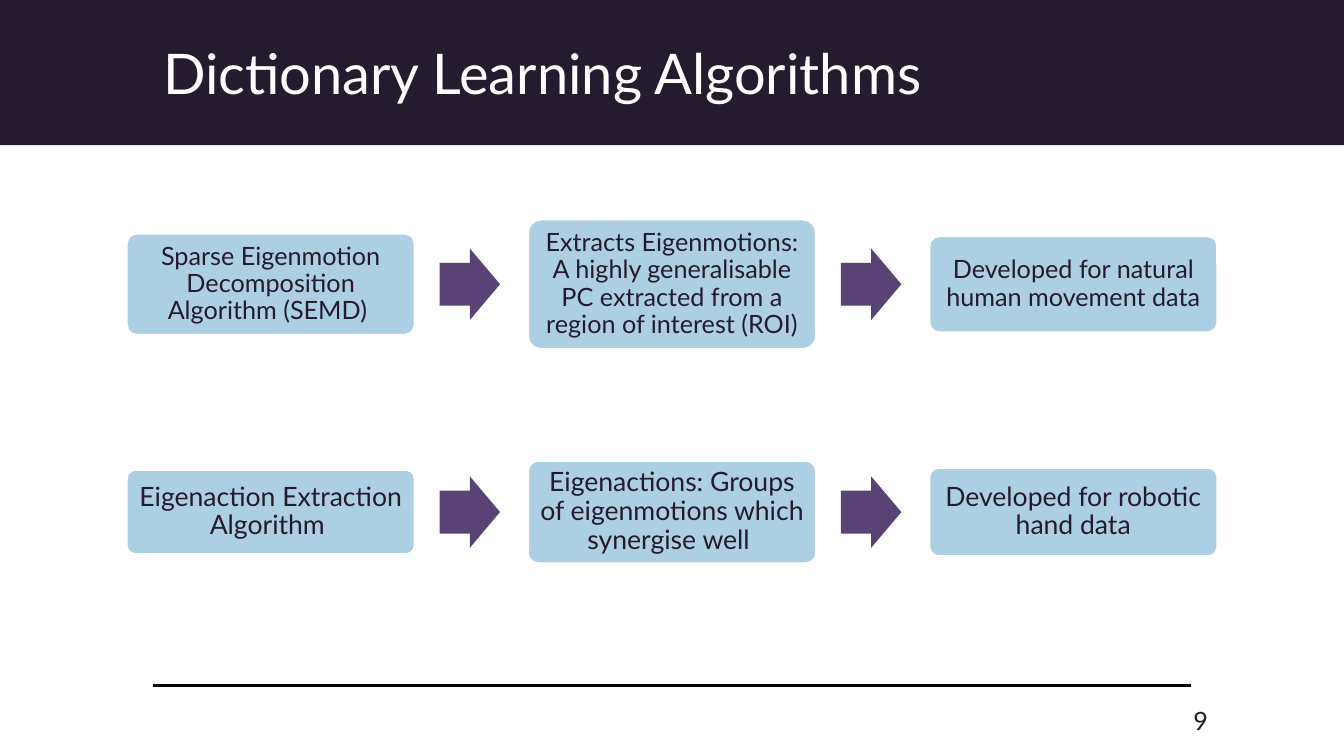
from dataclasses import dataclass

from lxml.etree import SubElement
from pptx import Presentation
from pptx.dml.color import RGBColor
from pptx.enum.shapes import MSO_CONNECTOR as Connector, MSO_SHAPE as Shape
from pptx.enum.text import MSO_ANCHOR as Anchor, PP_ALIGN as Align
from pptx.oxml.ns import qn
from pptx.util import Inches, Pt


@dataclass(frozen=True)
class Theme:
    font: str = "Lato"
    ink: RGBColor = RGBColor(0x24, 0x1B, 0x2F)
    box: RGBColor = RGBColor(0xAD, 0xCF, 0xE4)
    arrow: RGBColor = RGBColor(0x59, 0x43, 0x74)
    white: RGBColor = RGBColor(0xFF, 0xFF, 0xFF)
    rule: RGBColor = RGBColor(0, 0, 0)
    title_size: int = 40
    number_size: int = 18


THEME = Theme()
SLIDE_WIDTH, SLIDE_HEIGHT = 13.33, 7.5
FIRST_LEFT, STEP_PITCH, STEP_WIDTH = 1.26, 3.98, 2.85
ARROW_OFFSET, ARROW_WIDTH, ARROW_HEIGHT = 3.1, 0.6, 0.71

# Each flow: centre height, text size, text inset, then (step text, box height).
FLOWS = [
    (2.82, 18, 0.07, [
        ("Sparse Eigenmotion Decomposition Algorithm (SEMD) ", 1.0),
        ("Extracts Eigenmotions: A highly generalisable PC extracted "
         "from a region of interest (ROI)", 1.28),
        ("Developed for natural human movement data", 0.95),
    ]),
    (5.08, 19, 0.08, [
        ("Eigenaction Extraction Algorithm ", 0.83),
        ("Eigenactions: Groups of eigenmotions which synergise well ", 1.01),
        ("Developed for robotic hand data", 0.87),
    ]),
]


def set_all(target, values):
    for name, value in values.items():
        setattr(target, name, value)


def add_filled(slide, preset, place, fill, adjustments=()):
    shape = slide.shapes.add_shape(preset, *map(Inches, place))
    shape.shadow.inherit = False
    shape.fill.solid()
    shape.fill.fore_color.rgb = fill
    shape.line.fill.background()
    for index, value in enumerate(adjustments):
        shape.adjustments[index] = value
    return shape


def write(shape, text, size, color, align, inset=None, spacing=None):
    """Put one vertically centred paragraph into the shape."""
    frame = shape.text_frame
    set_all(frame, {"word_wrap": True, "vertical_anchor": Anchor.MIDDLE})
    if inset is not None:
        sides = ("left", "right", "top", "bottom")
        set_all(frame, {f"margin_{side}": Inches(inset) for side in sides})
    paragraph = frame.paragraphs[0]
    set_all(paragraph, {"alignment": align, "line_spacing": spacing})
    run = paragraph.add_run()
    run.text = text
    set_all(run.font, {"name": THEME.font, "size": Pt(size)})
    run.font.color.rgb = color


def add_label(slide, place, *text_format):
    write(slide.shapes.add_textbox(*map(Inches, place)), *text_format)


def add_rule(slide, left, right, top):
    rule = slide.shapes.add_connector(
        Connector.STRAIGHT, *map(Inches, (left, top, right, top)))
    rule.line.color.rgb = THEME.rule
    rule.line.width = Pt(1.75)
    SubElement(rule._element.spPr, qn("a:effectLst"))


def add_flow(slide, middle, size, inset, steps):
    """Draw a row of step boxes with an arrow between neighbours."""
    for column, (text, height) in enumerate(steps):
        left = FIRST_LEFT + column * STEP_PITCH
        step = add_filled(slide, Shape.ROUNDED_RECTANGLE,
                          (left, middle - height / 2, STEP_WIDTH, height),
                          THEME.box, (0.1,))
        step.line.color.rgb = THEME.white
        step.line.width = Pt(1)
        write(step, text, size, THEME.ink, Align.CENTER, inset, 0.9)
        if column < len(steps) - 1:
            add_filled(slide, Shape.RIGHT_ARROW,
                       (left + ARROW_OFFSET, middle - ARROW_HEIGHT / 2,
                        ARROW_WIDTH, ARROW_HEIGHT),
                       THEME.arrow, (0.6, 0.5))


def main():
    deck = Presentation()
    set_all(deck, {"slide_width": Inches(SLIDE_WIDTH),
                   "slide_height": Inches(SLIDE_HEIGHT)})
    slide = deck.slides.add_slide(deck.slide_layouts[6])
    background = slide.background.fill
    background.solid()
    background.fore_color.rgb = THEME.white

    add_filled(slide, Shape.RECTANGLE, (0, 0, SLIDE_WIDTH, 1.44), THEME.ink)
    add_label(slide, (1.52, 0.45, 10.72, 0.53), "Dictionary Learning Algorithms",
              THEME.title_size, THEME.white, Align.LEFT)
    for flow in FLOWS:
        add_flow(slide, *flow)
    add_rule(slide, 1.52, 11.81, 6.8)
    add_label(slide, (11.4, 6.95, 0.68, 0.4), "9",
              THEME.number_size, THEME.ink, Align.RIGHT)
    deck.save("out.pptx")


if __name__ == "__main__":
    main()
